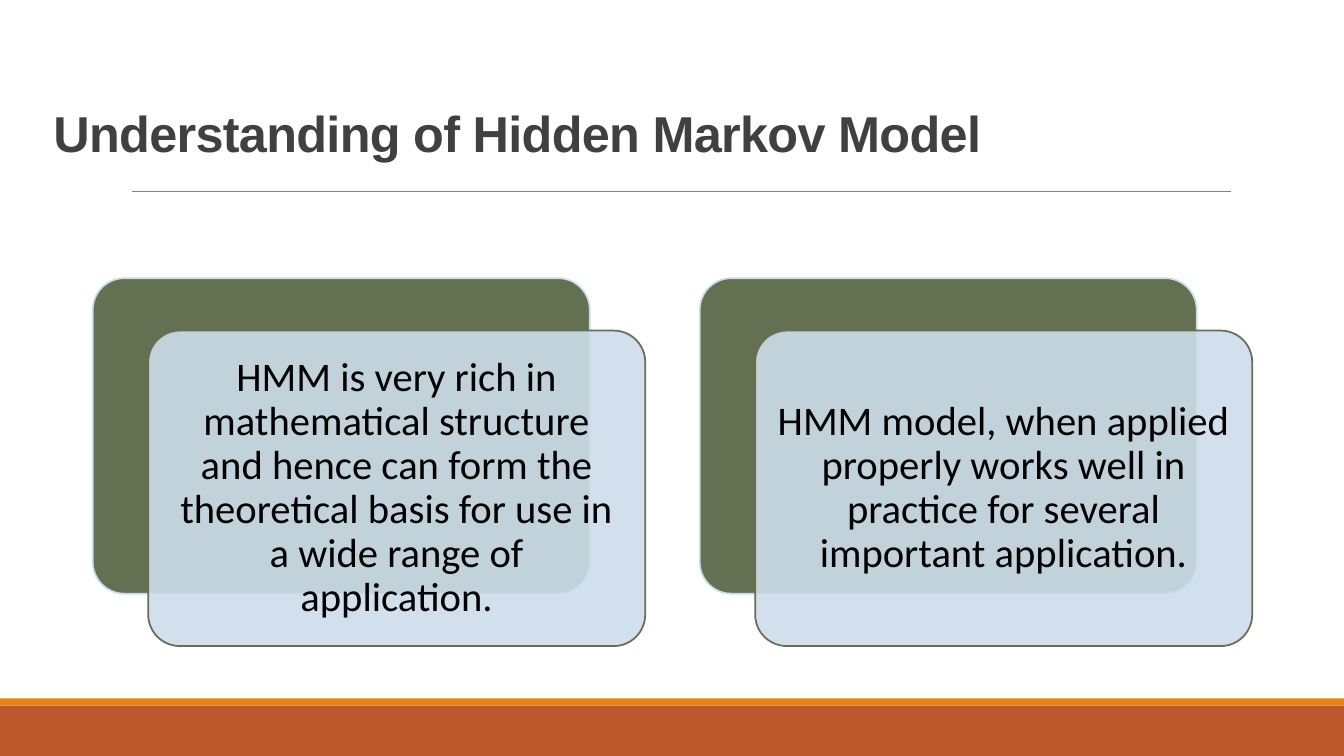
import pptx
import pptx.util
import pptx.dml.color
import pptx.enum.shapes
import pptx.enum.text
import pptx.oxml.ns
import pptx.oxml.xmlchemy

Inches = pptx.util.Inches
Pt = pptx.util.Pt
SHAPE = pptx.enum.shapes.MSO_SHAPE
ANCHOR = pptx.enum.text.MSO_ANCHOR
ALIGN = pptx.enum.text.PP_ALIGN

GREEN = "637052"
PALE_BLUE = "CCDDEA"
CARD_TEXTS = [
    "HMM is very rich in mathematical structure and hence can form the theoretical basis for use in a wide range of application.",
    "HMM model, when applied properly works well in practice for several important application.",
]


def paint(color_format, hex_color):
    color_format.rgb = pptx.dml.color.RGBColor.from_string(hex_color)


def add_box(slide, kind, left, top, width, height, fill, line=None):
    box = slide.shapes.add_shape(kind, Inches(left), Inches(top), Inches(width), Inches(height))
    box.shadow.inherit = False
    box.fill.solid()
    paint(box.fill.fore_color, fill)
    if line:
        paint(box.line.color, line)
        box.line.width = Pt(1.25)
    else:
        box.line.fill.background()
    return box


def add_rule(slide, left, right, top):
    rule = slide.shapes.add_connector(
        pptx.enum.shapes.MSO_CONNECTOR.STRAIGHT,
        Inches(left), Inches(top), Inches(right), Inches(top))
    paint(rule.line.color, "808080")
    rule.line.width = Pt(0.5)
    rule._element.spPr.append(pptx.oxml.xmlchemy.OxmlElement("a:effectLst"))


def set_opacity(box, percent):
    alpha = pptx.oxml.xmlchemy.OxmlElement("a:alpha")
    alpha.set("val", str(percent * 1000))
    fill = box._element.spPr.find(pptx.oxml.ns.qn("a:solidFill"))
    fill[0].append(alpha)


def write(box, text, font, size, color, align, spacing, bold=False):
    para = box.text_frame.paragraphs[0]
    para.alignment = align
    para.line_spacing = spacing
    span = para.add_run()
    span.text = text
    span.font.name = font
    span.font.size = Pt(size)
    span.font.bold = bold
    paint(span.font.color, color)
    return span


def set_title(slide, text):
    title = slide.shapes.title
    title.left, title.top = Inches(0.43), Inches(0.97)
    title.width, title.height = Inches(10.75), Inches(1.19)
    frame = title.text_frame
    frame.auto_size = pptx.enum.text.MSO_AUTO_SIZE.NONE
    frame.vertical_anchor = ANCHOR.BOTTOM
    frame.margin_bottom = Inches(0.54)
    span = write(title, text, "Arial", 36, "404040", ALIGN.LEFT, 0.85, bold=True)
    span.font._element.set("spc", "-50")


def add_card(slide, left, text):
    top, width, height = 2.76, 4.93, 3.13
    back = add_box(slide, SHAPE.ROUNDED_RECTANGLE, left, top, width, height, GREEN, PALE_BLUE)
    front = add_box(slide, SHAPE.ROUNDED_RECTANGLE, left + 0.55, top + 0.52,
                    width, height, PALE_BLUE, GREEN)
    for box in (back, front):
        box.adjustments[0] = 0.1
    set_opacity(front, 90)
    frame = front.text_frame
    frame.word_wrap = True
    frame.vertical_anchor = ANCHOR.MIDDLE
    frame.margin_left = frame.margin_right = Inches(0.12)
    frame.margin_top = frame.margin_bottom = Inches(0.12)
    write(front, text, "Calibri", 29, "000000", ALIGN.CENTER, 0.9)


def main():
    deck = pptx.Presentation()
    deck.slide_width = Inches(13.33)
    deck.slide_height = Inches(7.5)
    page = deck.slides.add_slide(deck.slide_layouts[5])
    add_box(page, SHAPE.RECTANGLE, 0, 7, 13.33, 0.5, "BD582C")
    add_box(page, SHAPE.RECTANGLE, 0, 6.93, 13.33, 0.07, "E48312")
    add_rule(page, 1.31, 12.21, 1.9)
    set_title(page, "Understanding of Hidden Markov Model")
    for index, text in enumerate(CARD_TEXTS):
        add_card(page, 0.92 + index * 6.02, text)
    deck.save("out.pptx")


if __name__ == "__main__":
    main()
